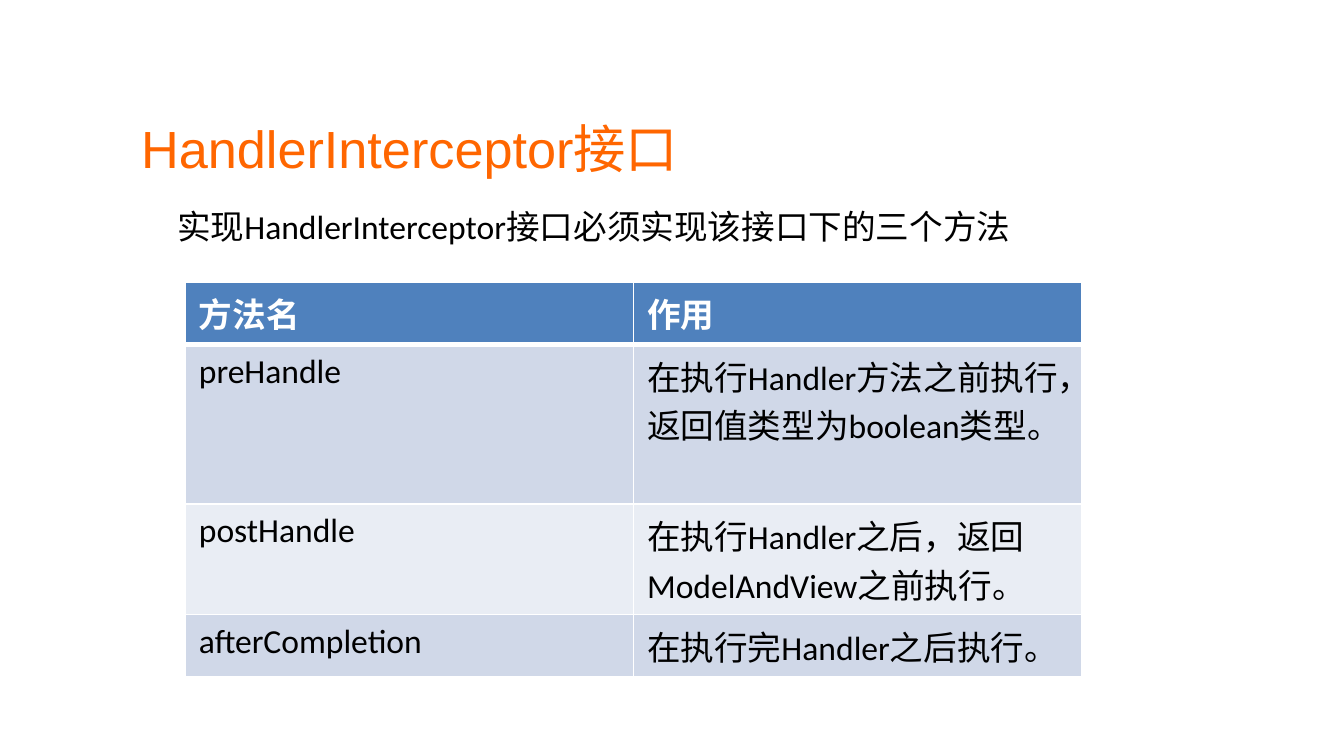
from pptx import Presentation
from pptx.dml.color import RGBColor
from pptx.enum.text import MSO_ANCHOR, MSO_AUTO_SIZE, PP_ALIGN
from pptx.oxml.ns import qn
from pptx.util import Inches, Pt
from lxml.etree import SubElement

COLORS = {
    "title": "FF6600",
    "text": "000000",
    "header_text": "FFFFFF",
    "border": "FFFFFF",
    "header": "4F81BD",
    "odd": "D0D8E8",
    "even": "E9EDF4",
}


def write(frame, text, color, **font_values):
    para = frame.paragraphs[0]
    span = para.add_run()
    span.text = text
    for name, value in font_values.items():
        setattr(span.font, name, value)
    span.font.color.rgb = RGBColor.from_string(COLORS[color])
    return span


def add_border(cell, side, points):
    properties = cell._tc.get_or_add_tcPr()
    line = SubElement(properties, qn(f"a:ln{side}"), w=str(Pt(points)))
    line_fill = SubElement(line, qn("a:solidFill"))
    SubElement(line_fill, qn("a:srgbClr"), val=COLORS["border"])


deck = Presentation()
deck.slide_width, deck.slide_height = Inches(10), Inches(5.625)
page = deck.slides.add_slide(deck.slide_layouts[5])

# Title
title = page.shapes.title
title.left, title.top = Inches(0.98), Inches(0.71)
title.width, title.height = Inches(6.29), Inches(0.77)
title_format = {
    "margin_left": Inches(0.07),
    "margin_right": Inches(0.07),
    "margin_top": Inches(0.04),
    "margin_bottom": Inches(0.04),
    "vertical_anchor": MSO_ANCHOR.MIDDLE,
    "auto_size": MSO_AUTO_SIZE.NONE,
}
for name, value in title_format.items():
    setattr(title.text_frame, name, value)
title.text_frame.paragraphs[0].alignment = PP_ALIGN.LEFT
write(title.text_frame, "HandlerInterceptor接口", "title", size=Pt(28), name="Arial")

# Table of interface methods
rows = [
    ("方法名", "作用"),
    ("preHandle", "在执行Handler方法之前执行，返回值类型为boolean类型。"),
    ("postHandle", "在执行Handler之后，返回ModelAndView之前执行。"),
    ("afterCompletion", "在执行完Handler之后执行。"),
]
table = page.shapes.add_table(
    len(rows), 2, Inches(1.38), Inches(2.1), Inches(6.67), Inches(1.38)
).table
for row_index, texts in enumerate(rows):
    is_header = row_index == 0
    fill = "header" if is_header else ("odd" if row_index % 2 else "even")
    table.rows[row_index].height = Inches(0.15 if is_header else 0.41)
    for column_index, text in enumerate(texts):
        cell = table.cell(row_index, column_index)
        # Borders come before the fill in the cell properties
        for side in "LRTB":
            header_rule = (row_index, side) in [(0, "B"), (1, "T")]
            add_border(cell, side, 3 if header_rule else 1)
        cell.fill.solid()
        cell.fill.fore_color.rgb = RGBColor.from_string(COLORS[fill])
        write(cell.text_frame, text, "header_text" if is_header else "text",
              size=Pt(18), name="Calibri", bold=is_header)

# Introduction, with the same face for East Asian text to keep its lines tight
intro = page.shapes.add_textbox(Inches(1.22), Inches(1.48), Inches(6.46), Inches(0.4))
intro.text_frame.word_wrap = True
span = write(intro.text_frame, "实现HandlerInterceptor接口必须实现该接口下的三个方法",
             "text", size=Pt(18), name="Calibri")
SubElement(span.font._element, qn("a:ea"), typeface="Calibri")

deck.save("out.pptx")
